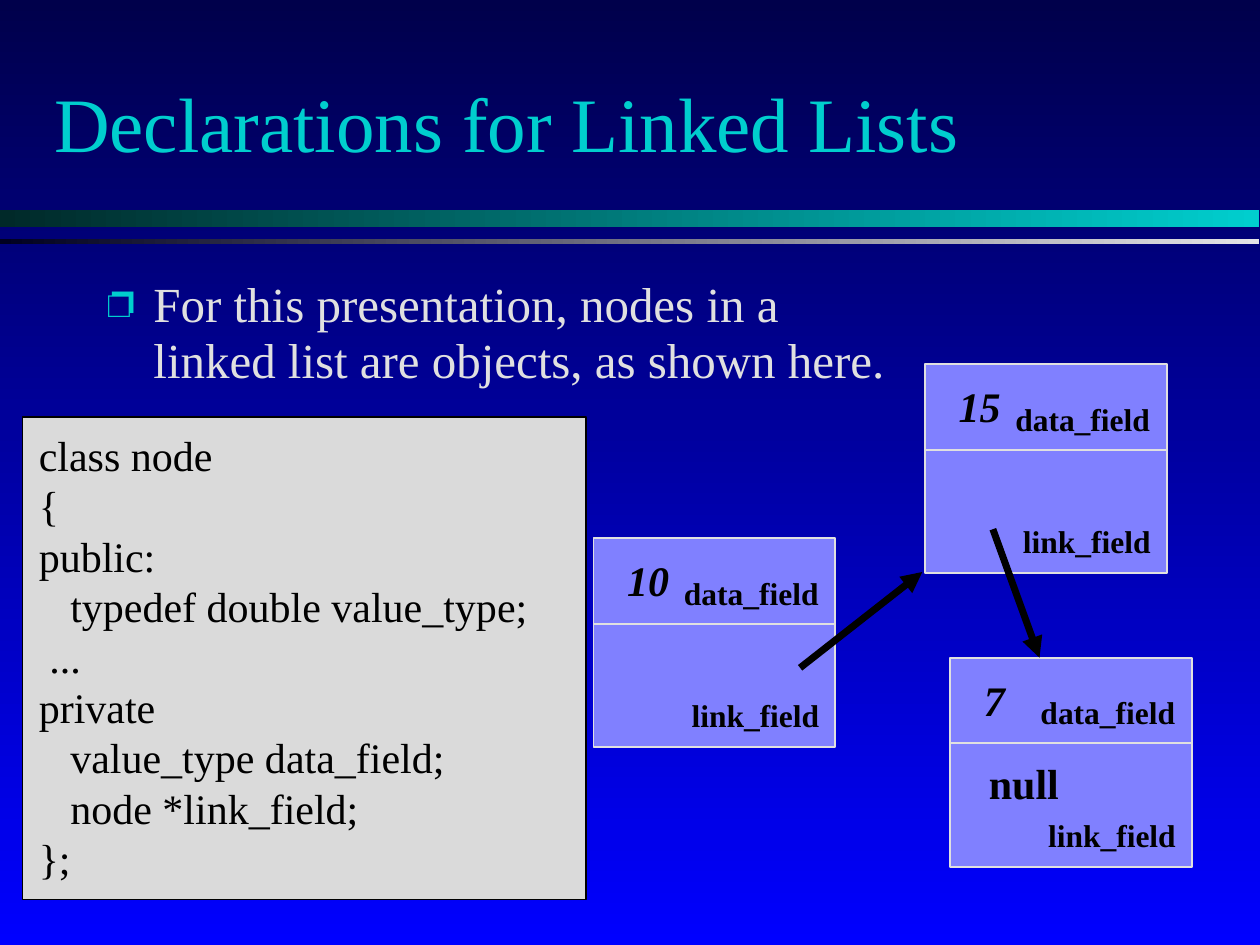
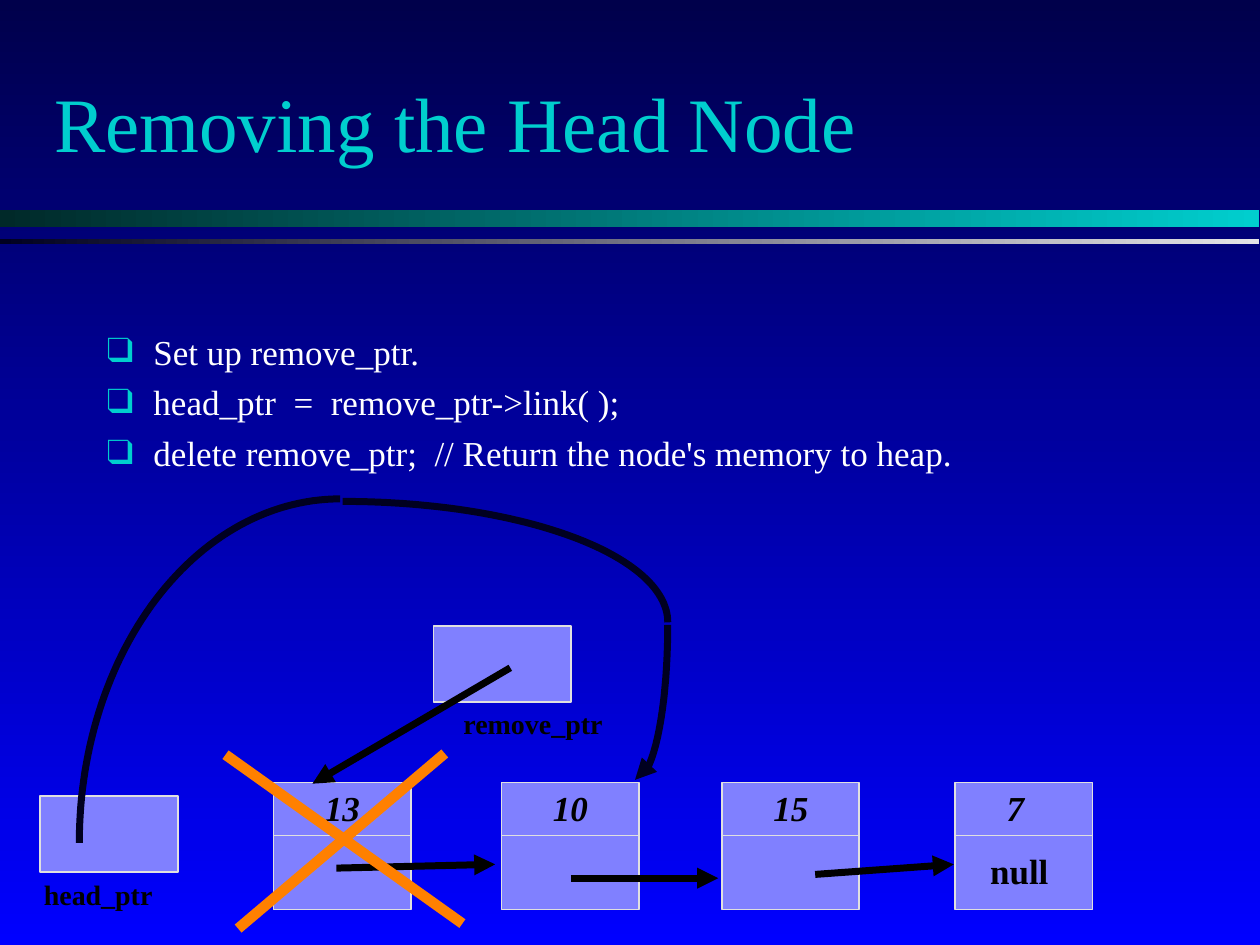
import math
from lxml import etree
from pptx import Presentation, util as u
from pptx.dml.color import RGBColor
from pptx.enum import shapes, text
from pptx.oxml.ns import qn

rgb = RGBColor.from_string
CYAN, PALE, BLACK, NAVY = "00CECE", "E0E0E0", "000000", "000020"
NODE, PANEL, ORANGE, WHITE = "8080FF", "DADADA", "FF8000", "FFFFFF"
FONT = "Times New Roman"

prs = Presentation()
prs.slide_width, prs.slide_height = u.Inches(10), u.Inches(7.5)
col, row = prs.slide_width // 10, prs.slide_height * 2 // 15


def write(sp, lines, size, color=BLACK, spacing=0.93, wrap=False, **fmt):
    tf = sp.text_frame
    tf.word_wrap = wrap
    tf.text = "\n".join(lines)
    for p in tf.paragraphs:
        p.alignment, p.line_spacing = text.PP_ALIGN.LEFT, spacing
        font = p.runs[0].font
        font.color.rgb = rgb(color)
        for key, value in dict(name=FONT, size=u.Pt(size), **fmt).items():
            setattr(font, key, value)
    return tf


def stroke(sp, color, width, arrow=False):
    sp.line.color.rgb = rgb(color)
    sp.line.width = u.Pt(width)
    spPr = sp.element.spPr
    if arrow:
        etree.SubElement(spPr.find(qn("a:ln")), qn("a:tailEnd"), type="triangle")
    etree.SubElement(spPr, qn("a:effectLst"))


layout = prs.slide_layouts[5]
fill = layout.background.fill
fill.gradient()
fill.gradient_angle = 270
for stop, color in zip(fill.gradient_stops, ("00004B", "0000FF")):
    stop.color.rgb = rgb(color)

slides = []
for title in ("Declarations for Linked Lists", "Removing the Head Node"):
    s = prs.slides.add_slide(layout)
    sp = s.shapes.title
    box = dict(left=0.33 * col, top=0.38 * row, width=8.5 * col, height=1.25 * row)
    for key, value in box.items():
        setattr(sp, key, int(value))
    tf = write(sp, [title], 44, CYAN, 0.95, True)
    tf.vertical_anchor = text.MSO_ANCHOR.MIDDLE
    slides.append(s)
declare, remove = slides

for y, h, colors in ((1.67, 0.13, ("002929", CYAN)), (1.9, 0.04, (NAVY, "E4E4E7"))):
    sp = declare.shapes.add_shape(shapes.MSO_SHAPE.RECTANGLE, 0, int(y * row),
                                  int(9.99 * col), int(h * row))
    sp.fill.gradient()
    sp.fill.gradient_angle = 0
    for stop, color in zip(sp.fill.gradient_stops, colors):
        stop.color.rgb = rgb(color)
    sp.line.fill.background()
    sp.shadow.inherit = False
    layout.shapes.element.append(sp.element)

bullets = [
    (declare, 2.16, 6.57, 1.1, "❐", 75, 7, 28, PALE, 0.95,
     ["For this presentation, nodes in a linked list are objects, as shown here."]),
    (remove, 2.57, 8.53, 1.26, "❑", 100, 5, 20, WHITE, 1.0,
     ["Set up remove_ptr.", "head_ptr  =  remove_ptr->link( );",
      "delete remove_ptr;  // Return the node's memory to heap."]),
]
for s, y, w, h, char, pct, before, size, color, spacing, lines in bullets:
    sp = s.shapes.add_textbox(int(0.75 * col), int(y * row), int(w * col), int(h * row))
    for p in write(sp, lines, size, color, spacing, True).paragraphs:
        p.space_before = u.Pt(before)
        pPr = p._p.get_or_add_pPr()
        pPr.set("marL", str(int(0.37 * col)))
        pPr.set("indent", str(int(-0.37 * col)))
        etree.SubElement(etree.SubElement(pPr, qn("a:buClr")), qn("a:srgbClr"), val=CYAN)
        etree.SubElement(pPr, qn("a:buSzPct"), val=str(pct * 1000))
        etree.SubElement(pPr, qn("a:buFont"), typeface=FONT)
        etree.SubElement(pPr, qn("a:buChar"), char=char)

big_nodes = [(4.71, 4.27, "10"), (7.34, 2.89, "15"), (7.54, 5.22, "7")]
small_nodes = [(2.17, "13"), (3.98, "10"), (5.73, "15"), (7.58, "7")]

panels = [(declare, x, y, 1.92, 1.66, NODE, PALE, 0.68) for x, y, _ in big_nodes]
panels += [(remove, x, 6.21, 1.09, 1.01, NODE, PALE, 0.42) for x, _ in small_nodes]
panels += [(declare, 0.18, 3.31, 4.47, 3.83, PANEL, BLACK, 0),
           (remove, 0.32, 6.32, 1.09, 0.6, NODE, PALE, 0),
           (remove, 3.44, 4.97, 1.09, 0.6, NODE, PALE, 0)]
links = []
for s, x, y, w, h, color, edge, split in panels:
    sp = s.shapes.add_shape(shapes.MSO_SHAPE.RECTANGLE, int(x * col), int(y * row),
                            int(w * col), int(h * row))
    sp.fill.solid()
    sp.fill.fore_color.rgb = rgb(color)
    stroke(sp, edge, 1)
    if split:
        links.append((s, x, y + split, x + w, y + split, PALE, 1, False))

value = dict(bold=True, italic=True)
label = dict(bold=True, italic=False)
labels = [(declare, 7.75, 6, 0.86, 0.47, "null", 24, label),
          (remove, 7.76, 6.72, 0.76, 0.41, "null", 20, label),
          (remove, 0.25, 6.94, 1.16, 0.35, "head_ptr", 16, label),
          (remove, 3.58, 5.58, 1.41, 0.35, "remove_ptr", 16, label)]
for x, y, number in big_nodes:
    labels += [(declare, x + 0.62, y + 0.26, 1.37, 0.38, "data_field", 18, label),
               (declare, x + 0.68, y + 1.23, 1.31, 0.38, "link_field", 18, label),
               (declare, x + 0.17, y + 0.12, 0.29 + 0.17 * len(number), 0.47, number, 24, value)]
for x, number in small_nodes:
    labels.append((remove, x + 0.31, 6.22, 0.3 + 0.14 * len(number), 0.41, number, 20, value))
for s, x, y, w, h, words, size, fmt in labels:
    sp = s.shapes.add_textbox(int(x * col), int(y * row), int(w * col), int(h * row))
    write(sp, [words], size, **fmt)

code = [(0, "class node"), (0, "{"), (0, "public:"), (3, "typedef double value_type;"),
        (1, "..."), (0, "private"), (3, "value_type data_field;"),
        (3, "node *link_field;"), (0, "};")]
sp = declare.shapes.add_textbox(int(0.21 * col), int(3.36 * row), int(4.44 * col), int(3.7 * row))
tf = write(sp, [words for _, words in code], 24, spacing=1.0, wrap=True)
for p, (depth, _) in zip(tf.paragraphs, code):
    p._p.get_or_add_pPr().set("marL", str(int(depth * col / 12)))

arrows = [(declare, 6.35, 5.3, 7.32, 4.54), (declare, 7.88, 4.2, 8.25, 5.22),
          (remove, 2.67, 6.89, 3.93, 6.86), (remove, 4.53, 6.97, 5.7, 6.97),
          (remove, 6.47, 6.94, 7.57, 6.86), (remove, 4.05, 5.3, 2.48, 6.22)]
links += [(*arrow, BLACK, 4, True) for arrow in arrows]
links += [(remove, 1.79, 5.99, 3.67, 7.33, ORANGE, 6, False),
          (remove, 3.53, 5.98, 1.89, 7.37, ORANGE, 6, False)]
for s, x1, y1, x2, y2, color, width, arrow in links:
    sp = s.shapes.add_connector(shapes.MSO_CONNECTOR.STRAIGHT, int(x1 * col), int(y1 * row),
                                int(x2 * col), int(y2 * row))
    stroke(sp, color, width, arrow)

arcs = [(2.7, 6.69, 2.07, 2.73, 180, False), (2.72, 4.94, 2.58, 0.96, 270, False),
        (5.04, 4.96, 0.26, 1.23, 0, True)]
for cx, cy, rx, ry, start, arrow in arcs:
    angles = [math.radians(start + 1.5 * i) for i in range(61)]
    points = [(int((cx + rx * math.cos(a)) * col), int((cy + ry * math.sin(a)) * row))
              for a in angles]
    builder = remove.shapes.build_freeform(*points[0])
    builder.add_line_segments(points[1:], close=False)
    sp = builder.convert_to_shape()
    sp.fill.background()
    stroke(sp, NAVY, 4, arrow)

prs.save("out.pptx")
